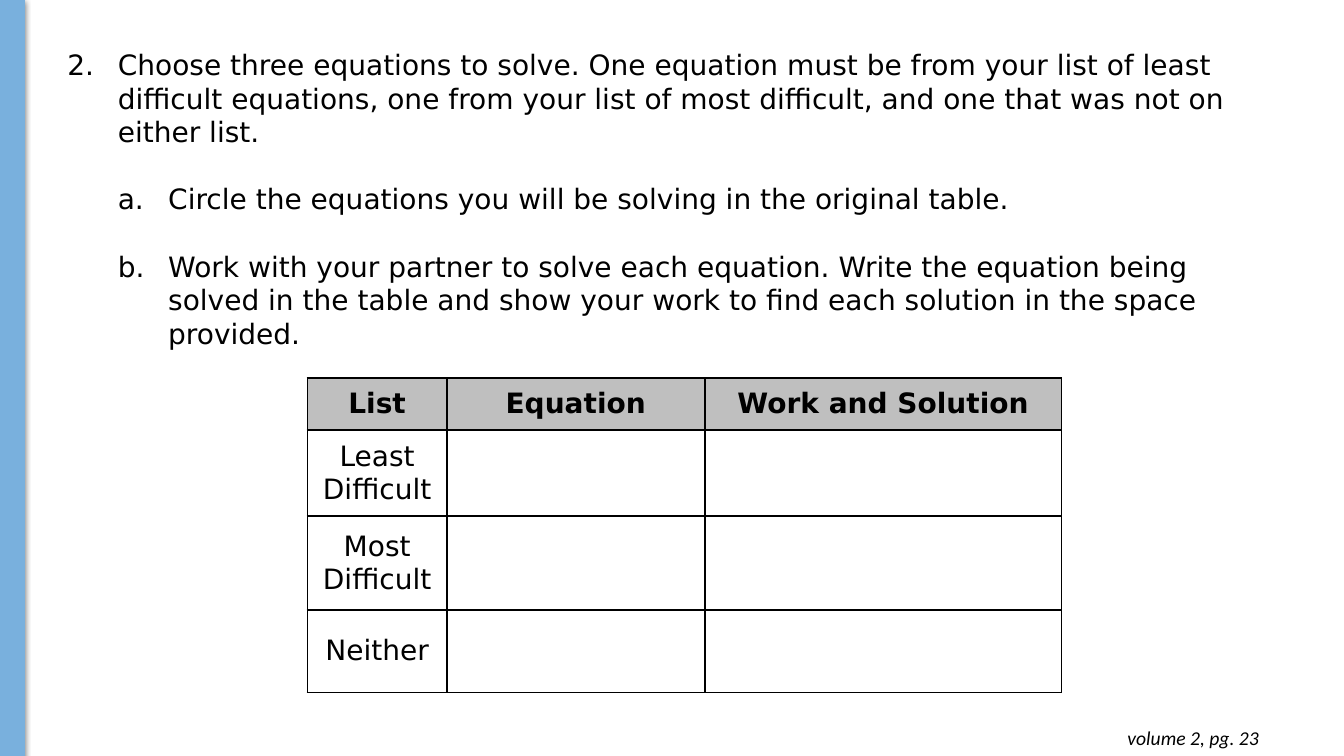
from lxml.etree import SubElement
from pptx import Presentation
from pptx.dml.color import RGBColor
from pptx.enum.shapes import MSO_SHAPE
from pptx.enum.text import MSO_ANCHOR, PP_ALIGN
from pptx.oxml import parse_xml
from pptx.oxml.ns import nsdecls, qn
from pptx.util import Cm, Pt


def color(value):
    """Turn a hex string into a colour."""
    return RGBColor.from_string(value)


def write(p, text, size=20, font="DejaVu Sans", bold=False, italic=False,
          ink="000000", align=None, before=None, after=None, line=None):
    """Put formatted text into a paragraph."""
    p.alignment = align
    p.space_before, p.space_after, p.line_spacing = before, after, line
    r = p.add_run()
    r.text = text
    r.font.size, r.font.name = Pt(size), font
    r.font.bold, r.font.italic = bold, italic
    r.font.color.rgb = color(ink)


class Worksheet:
    """Holds the style and the current slide."""

    BLUE, GRAY, BLACK = "79B0DD", "BFBFBF", "000000"
    INDENT = 1.27

    def __init__(self, prs):
        """Add a blank slide."""
        self.s = prs.slides.add_slide(prs.slide_layouts[6])

    def bar(self, x, y, w, h):
        """Draw the shaded side bar."""
        sp = self.s.shapes.add_shape(MSO_SHAPE.RECTANGLE, Cm(x), Cm(y), Cm(w), Cm(h))
        sp.fill.solid()
        sp.fill.fore_color.rgb = color(self.BLUE)
        sp.line.color.rgb = color(self.BLUE)
        sp.line.width = Pt(0.75)
        sp.shadow.inherit = False
        effects = sp._element.spPr.find(qn("a:effectLst"))
        effects.append(parse_xml(
            f'<a:outerShdw {nsdecls("a")} blurRad="{Pt(4.5)}" dist="{Pt(1.5)}" '
            f'dir="5400000" rotWithShape="0"><a:srgbClr val="{self.BLACK}">'
            '<a:alpha val="50000"/></a:srgbClr></a:outerShdw>'))

    def textbox(self, x, y, w, h):
        """Add a wrapping text box and return its frame."""
        tf = self.s.shapes.add_textbox(Cm(x), Cm(y), Cm(w), Cm(h)).text_frame
        tf.word_wrap = True
        return tf

    def numbered(self, p, text, level, scheme, start=1, before=None):
        """Write an automatically numbered item."""
        p.level = level
        pPr = p._p.get_or_add_pPr()
        pPr.set("marL", str(Cm(self.INDENT * (level + 1))))
        pPr.set("indent", str(Cm(-self.INDENT)))
        bullet = SubElement(pPr, qn("a:buAutoNum"), type=scheme)
        if start > 1:
            bullet.set("startAt", str(start))
        write(p, text, before=before, line=Pt(24))

    def borders(self, cell):
        """Outline a table cell."""
        tcPr = cell._tc.get_or_add_tcPr()
        for side in "LRTB":
            ln = SubElement(tcPr, qn(f"a:ln{side}"), w=str(Pt(1.5)))
            fill = SubElement(ln, qn("a:solidFill"))
            SubElement(fill, qn("a:srgbClr"), val=self.BLACK)

    def table(self, x, y, widths, heights, rows):
        """Add a bordered table with a gray header row."""
        frame = self.s.shapes.add_table(len(heights), len(widths), Cm(x), Cm(y),
                                        Cm(sum(widths)), Cm(sum(heights)))
        tbl = frame.table
        tbl.horz_banding = False
        for col, w in zip(tbl.columns, widths):
            col.width = Cm(w)
        for i, (row, h, texts) in enumerate(zip(tbl.rows, heights, rows)):
            row.height = Cm(h)
            for cell, text in zip(row.cells, texts):
                cell.vertical_anchor = MSO_ANCHOR.MIDDLE
                self.borders(cell)
                if i == 0:
                    cell.fill.solid()
                    cell.fill.fore_color.rgb = color(self.GRAY)
                else:
                    cell.fill.background()
                if text:
                    write(cell.text_frame.paragraphs[0], text, bold=i == 0,
                          align=PP_ALIGN.CENTER, before=Pt(1.8), after=Pt(1.8))


def main():
    """Build and save the slide."""
    prs = Presentation()
    prs.slide_width, prs.slide_height = Cm(33.87), Cm(19.05)
    sheet = Worksheet(prs)
    sheet.bar(0, 0, 0.61, 19.07)

    tf = sheet.textbox(1.45, 1.07, 30, 7.95)
    sheet.numbered(
        tf.paragraphs[0],
        "Choose three equations to solve. One equation must be from your list of "
        "least difficult equations, one from your list of most difficult, and one "
        "that was not on either list.", 0, "arabicPeriod", start=2)
    for step in (
            "Circle the equations you will be solving in the original table.",
            "Work with your partner to solve each equation. Write the equation being "
            "solved in the table and show your work to find each solution in the "
            "space provided."):
        sheet.numbered(tf.add_paragraph(), step, 1, "alphaLcPeriod", before=Pt(24))

    sheet.table(7.75, 9.53, [3.51, 6.5, 8.99], [1.3, 2.18, 2.36, 2.08], [
        ["List", "Equation", "Work and Solution"],
        ["Least Difficult", "", ""],
        ["Most Difficult", "", ""],
        ["Neither", "", ""]])

    tf = sheet.textbox(24.66, 18.03, 7.32, 1.12)
    tf.margin_top = tf.margin_bottom = Cm(0.25)
    write(tf.paragraphs[0], "volume 2, pg. 23", size=14, font="Calibri",
          italic=True, align=PP_ALIGN.RIGHT)
    prs.save("out.pptx")


if __name__ == "__main__":
    main()
